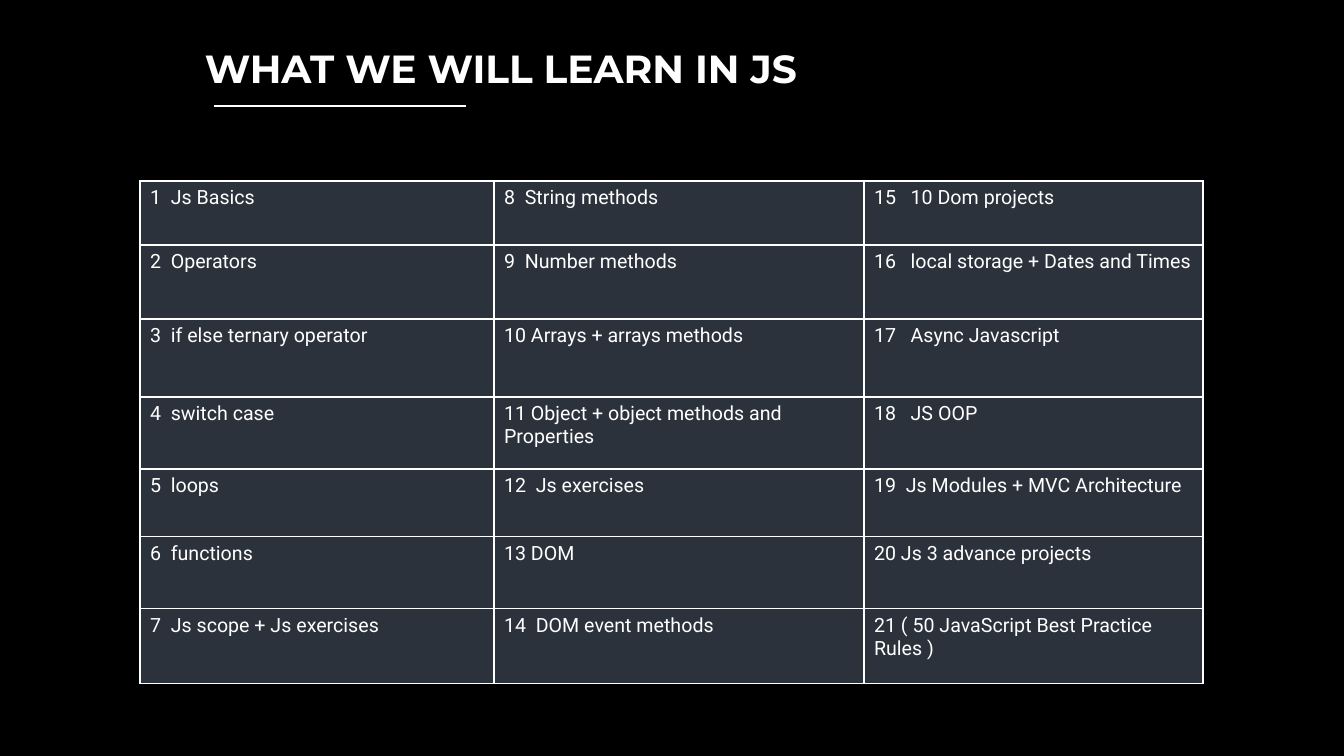
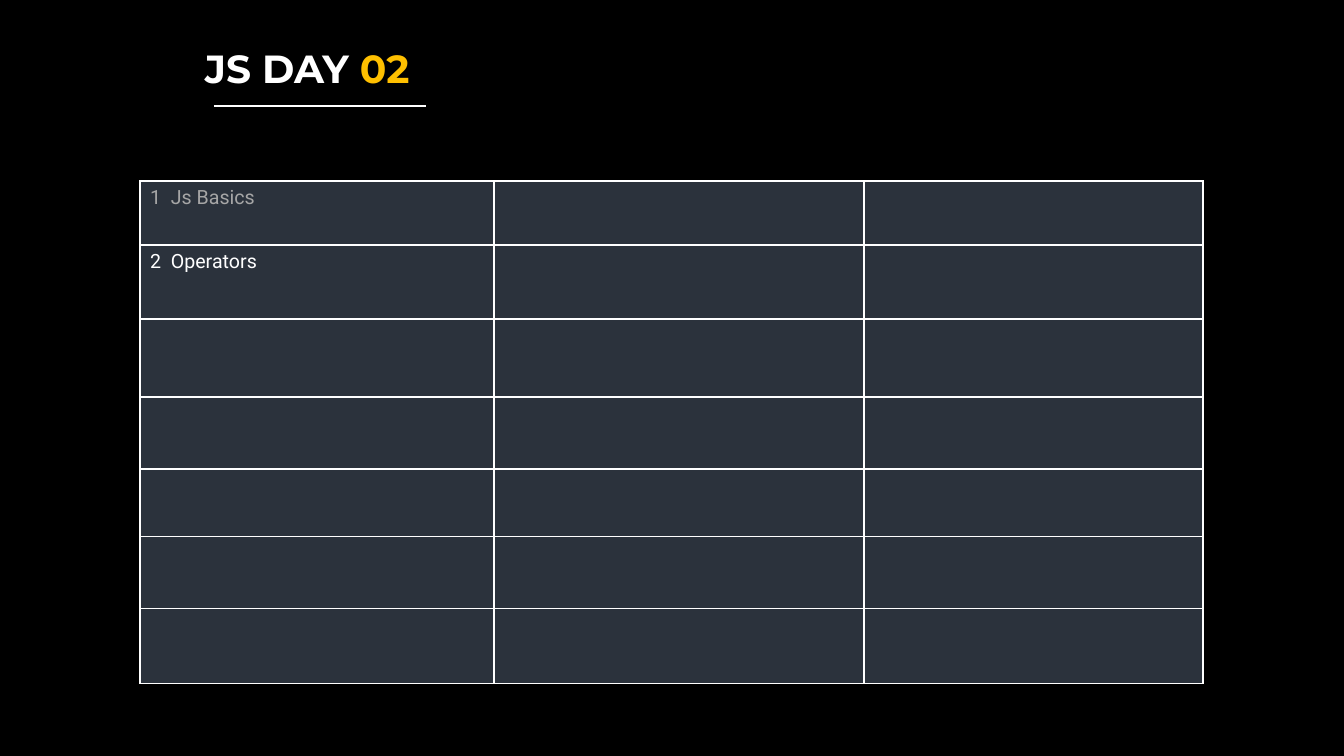
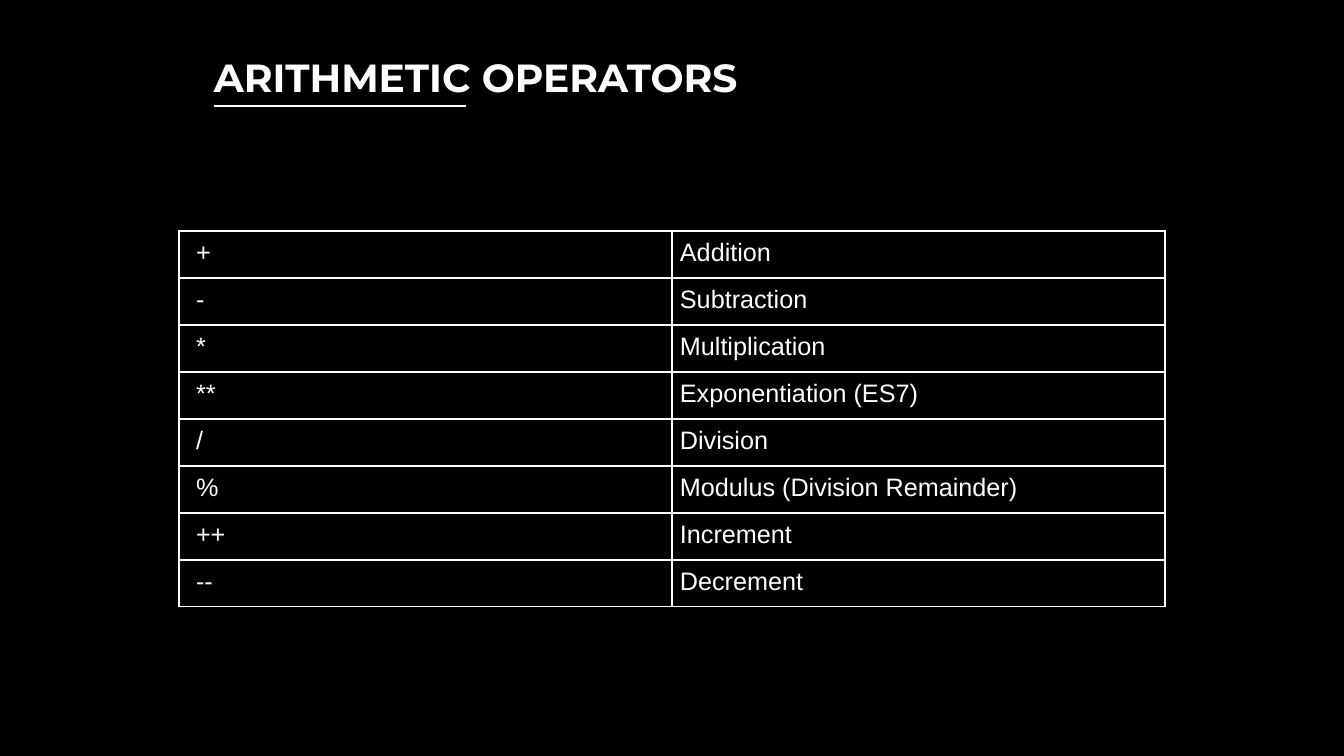
"""Build three slides on the JavaScript course plan and its arithmetic operators."""
from itertools import zip_longest

from lxml.etree import SubElement as add_element
from pptx import Presentation
from pptx.dml.color import RGBColor
from pptx.enum.shapes import MSO_CONNECTOR
from pptx.oxml.ns import qn
from pptx.util import Pt

SCALE = 914400 / 100.8
COLORS = {"black": "000000", "white": "FFFFFF", "slate": "2B323C",
          "gold": "FFC000", "grey": "A6A6A6"}
BORDER_SIDES = ("a:lnL", "a:lnR", "a:lnT", "a:lnB")

PLAN_WIDTHS = (354, 370, 339)
PLAN_HEIGHTS = (64, 74, 78, 72, 68, 72, 75)
BASICS = ("1  Js Basics", "2  Operators", "3  if else ternary operator",
          "4  switch case", "5  loops", "6  functions",
          "7  Js scope + Js exercises")
METHODS = ("8  String methods", "9  Number methods",
           "10 Arrays + arrays methods",
           "11 Object + object methods and Properties",
           "12  Js exercises", "13 DOM", "14  DOM event methods")
PROJECTS = ("15   10 Dom projects", "16   local storage + Dates and Times",
            "17   Async Javascript", "18   JS OOP",
            "19  Js Modules + MVC Architecture", "20 Js 3 advance projects",
            "21 ( 50 JavaScript Best Practice Rules )")
OPERATORS = (("+", "Addition"), ("-", "Subtraction"), ("*", "Multiplication"),
             ("**", "Exponentiation (ES7)"), ("/", "Division"),
             ("%", "Modulus (Division Remainder)"), ("++", "Increment"),
             ("--", "Decrement"))


def px(length):
    return round(length * SCALE)


def color(name):
    return RGBColor.from_string(COLORS[name])


def style_font(font, name, size, shade="white", bold=False):
    font.name = name
    font.size = Pt(size)
    font.bold = bold
    font.color.rgb = color(shade)


def add_page(deck):
    return deck.slides.add_slide(deck.slide_layouts[6])


def add_title(page, text, left, top, width, rule_width, accent=""):
    box = page.shapes.add_textbox(px(left), px(top), px(width), px(57))
    box.text_frame.word_wrap = True
    para = box.text_frame.paragraphs[0]
    style_font(para.font, "Montserrat", 28, bold=True)
    para.add_run().text = text
    if accent:
        span = para.add_run()
        span.text = accent
        span.font.color.rgb = color("gold")

    rule = page.shapes.add_connector(MSO_CONNECTOR.STRAIGHT, px(214), px(106),
                                     px(214 + rule_width), px(106))
    rule.line.color.rgb = color("white")
    rule.line.width = Pt(0.75)
    add_element(rule._element.spPr, qn("a:effectLst"))


def add_borders(cell):
    properties = cell._tc.get_or_add_tcPr()
    for side in BORDER_SIDES:
        line = add_element(properties, qn(side), w=str(Pt(1)))
        fill = add_element(line, qn("a:solidFill"))
        add_element(fill, qn("a:srgbClr"), val=COLORS["white"])


def add_grid(page, left, top, widths, heights):
    frame = page.shapes.add_table(len(heights), len(widths), px(left), px(top),
                                  px(sum(widths)), px(sum(heights)))
    table = frame.table
    table.first_row = table.horz_banding = False
    for column, width in zip(table.columns, widths):
        column.width = px(width)
    for row, height in zip(table.rows, heights):
        row.height = px(height)
    for cell in table.iter_cells():
        add_borders(cell)
    return table


def write_cell(cell, text, font_name, size, shade="white"):
    cell.text = text
    style_font(cell.text_frame.paragraphs[0].font, font_name, size, shade)


def add_plan(page, topic_columns, done=()):
    table = add_grid(page, 140, 181, PLAN_WIDTHS, PLAN_HEIGHTS)
    for cell in table.iter_cells():
        cell.fill.solid()
        cell.fill.fore_color.rgb = color("slate")
    for row, topics in enumerate(zip_longest(*topic_columns)):
        for column, topic in enumerate(topics):
            shade = "grey" if topic in done else "white"
            write_cell(table.cell(row, column), topic, "Roboto", 14, shade)


def add_operators(page):
    table = add_grid(page, 179, 231, (493, 493), [47] * len(OPERATORS))
    for row, texts in enumerate(OPERATORS):
        for column, text in enumerate(texts):
            cell = table.cell(row, column)
            cell.fill.background()
            cell.margin_left = px(8 if column else 17)
            cell.margin_right = cell.margin_top = cell.margin_bottom = px(8)
            write_cell(cell, text, "Arial", 18)


def main():
    deck = Presentation()
    deck.slide_width, deck.slide_height = px(1344), px(756)
    backdrop = deck.slide_master.background.fill
    backdrop.solid()
    backdrop.fore_color.rgb = color("black")

    page = add_page(deck)
    add_title(page, "WHAT WE WILL LEARN IN JS", 195, 39, 1140, 252)
    add_plan(page, (BASICS, METHODS, PROJECTS))

    page = add_page(deck)
    add_title(page, "JS DAY ", 195, 39, 1140, 212, accent="02")
    add_plan(page, (BASICS[:2],), done=BASICS[:1])

    page = add_page(deck)
    add_title(page, "ARITHMETIC OPERATORS", 204, 48, 582, 252)
    add_operators(page)

    deck.save("out.pptx")


main()
